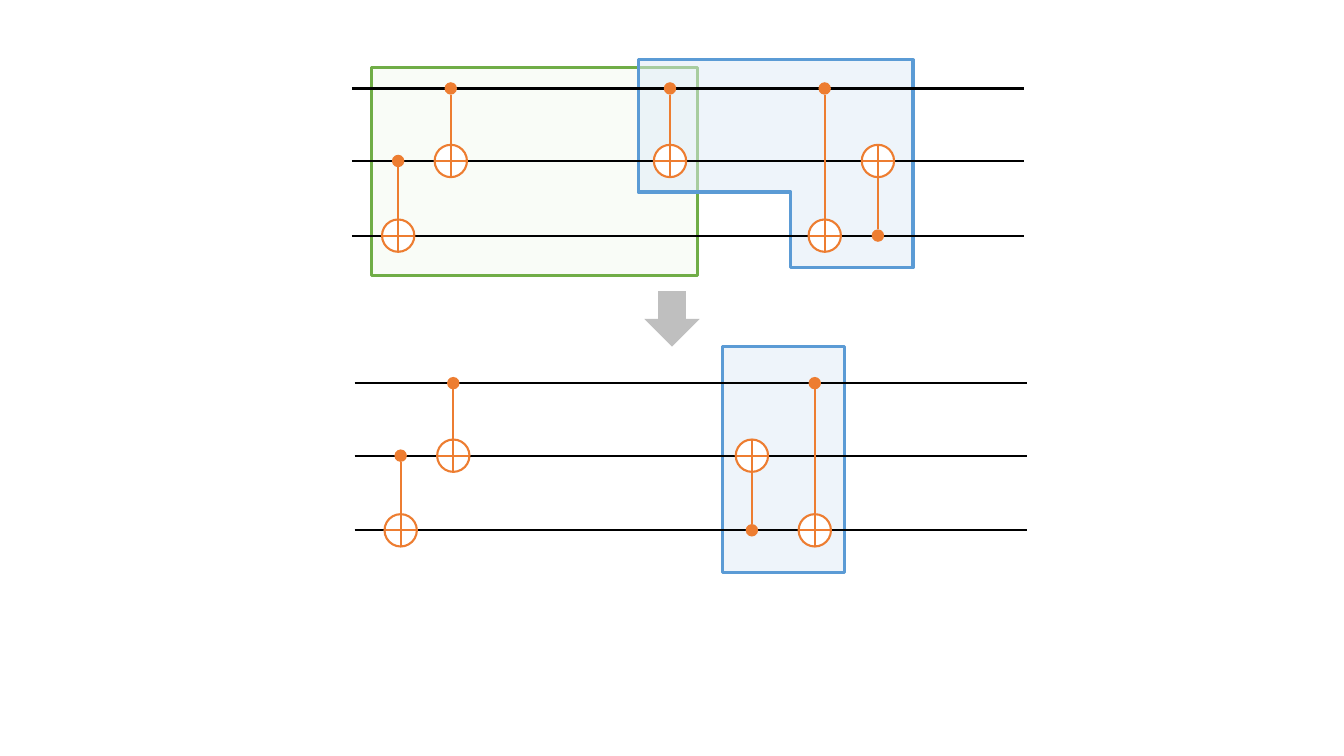
from lxml.etree import SubElement
from pptx import Presentation
from pptx.dml.color import RGBColor
from pptx.enum.shapes import MSO_CONNECTOR as Connector, MSO_SHAPE as Shape
from pptx.oxml.ns import qn
from pptx.util import Pt


def color(value):
    return RGBColor.from_string(value)


class CircuitSlide:
    """Draws quantum circuits on one slide, with lengths in points."""

    wire_color, gate_color = "000000", "ED7D31"
    wire_offsets = (0, 51.8, 105.1)
    wire_length = 480.2
    dot_size, target_size = 8.9, 23.1
    thin, thick = 1.5, 2.25

    def __init__(self, presentation):
        self.slide = presentation.slides.add_slide(presentation.slide_layouts[6])
        self.shapes = self.slide.shapes

    def start_group(self):
        self.shapes = self.slide.shapes.add_group_shape().shapes

    def end_group(self):
        self.shapes = self.slide.shapes

    def block(self, kind, left, top, width, height, fill, line=None, weight=0, alpha=100):
        shape = self.shapes.add_shape(kind, Pt(left), Pt(top), Pt(width), Pt(height))
        shape.shadow.inherit = False
        shape.fill.solid()
        shape.fill.fore_color.rgb = color(fill)
        if alpha < 100:
            fill_color = shape.fill._xPr.find(qn("a:solidFill"))[0]
            SubElement(fill_color, qn("a:alpha"), val=str(alpha * 1000))
        if line:
            shape.line.color.rgb = color(line)
            shape.line.width = Pt(weight)
        else:
            shape.line.fill.background()
        return shape

    def region(self, kind, left, top, width, height, fill, line, alpha):
        return self.block(kind, left, top, width, height, fill, line, self.thick, alpha)

    def line(self, start_x, start_y, end_x, end_y, line):
        connector = self.shapes.add_connector(
            Connector.STRAIGHT, Pt(start_x), Pt(start_y), Pt(end_x), Pt(end_y))
        connector.line.color.rgb = color(line)
        connector.line.width = Pt(self.thin)
        SubElement(connector._element.spPr, qn("a:effectLst"))

    def disc(self, kind, center_x, center_y, size, fill, line=None):
        self.block(kind, center_x - size / 2, center_y - size / 2, size, size,
                   fill, line, self.thin)

    def cnot(self, x, control_y, target_y):
        direction = 1 if target_y > control_y else -1
        self.disc(Shape.FLOWCHART_OR, x, target_y, self.target_size, "FFFFFF", self.gate_color)
        self.disc(Shape.FLOWCHART_CONNECTOR, x, control_y, self.dot_size, self.gate_color)
        self.line(x, control_y + direction * self.dot_size / 2,
                  x, target_y - direction * self.target_size / 2, self.gate_color)

    def circuit(self, left, top, gates):
        wires = [top + offset for offset in self.wire_offsets]
        for y in reversed(wires):
            self.line(left, y, left + self.wire_length, y, self.wire_color)
        for x, control, target in gates:
            self.cnot(x, wires[control], wires[target])


def main():
    presentation = Presentation()
    presentation.slide_width, presentation.slide_height = Pt(960), Pt(540)
    page = CircuitSlide(presentation)

    page.start_group()
    page.region(Shape.RECTANGLE, 265.7, 48.4, 232.6, 148.3, "E2F0D9", "70AD47", 20)
    corner = page.region(Shape.CORNER, 455.8, 42.8, 196.4, 148.3, "DEEBF7", "5B9BD5", 50)
    corner.rotation = 180
    corner.adjustments[0], corner.adjustments[1] = 0.636, 0.589
    page.circuit(251.4, 63.2, [
        (627.1, 2, 1), (589.1, 0, 2), (322, 0, 1), (478.6, 0, 1), (284.4, 1, 2)])
    page.end_group()

    page.block(Shape.DOWN_ARROW, 460.2, 208, 39.6, 39.6, "BFBFBF")

    page.start_group()
    page.region(Shape.RECTANGLE, 516.2, 247.6, 87.1, 161.4, "DEEBF7", "5B9BD5", 50)
    page.circuit(253.4, 273.7, [
        (537.1, 2, 1), (582, 0, 2), (323.8, 0, 1), (286.2, 1, 2)])
    page.end_group()

    presentation.save("out.pptx")


if __name__ == "__main__":
    main()
